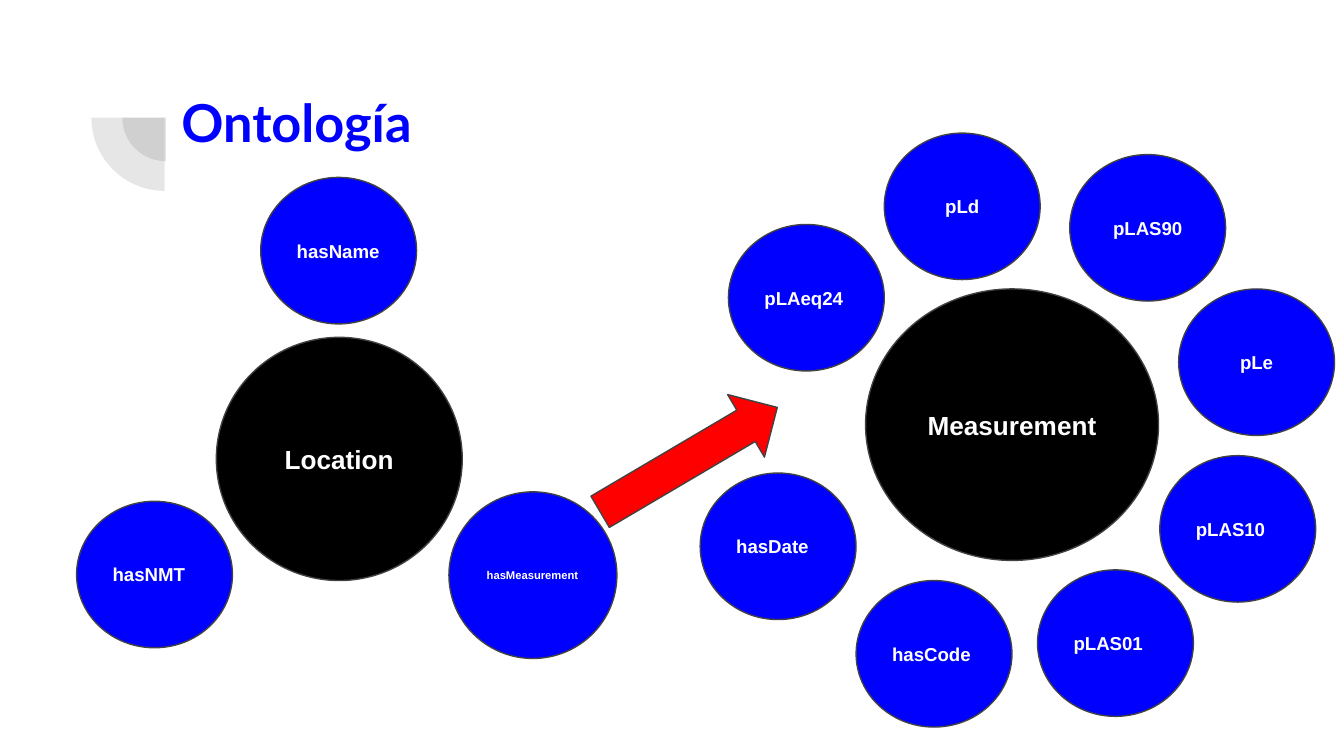
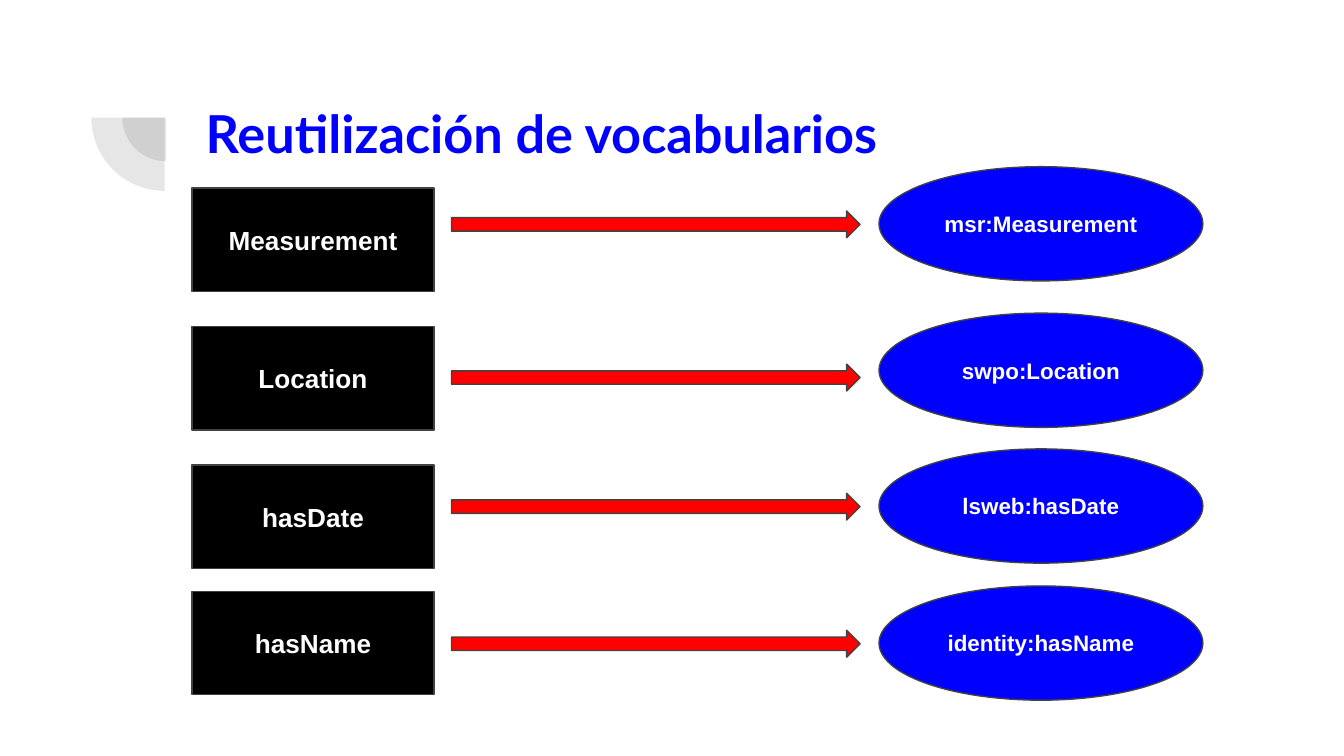
from lxml.etree import SubElement
from pptx import Presentation
from pptx.dml.color import RGBColor
from pptx.enum.shapes import MSO_SHAPE
from pptx.enum.text import MSO_ANCHOR, MSO_AUTO_SIZE, PP_ALIGN
from pptx.oxml.ns import qn
from pptx.util import Emu, Pt

PX = 9144  # EMU per px, 100 px to the inch
TITLE_ONLY = 5


def rgb(value):
    return RGBColor.from_string(value)


def px(*lengths):
    return [Emu(n * PX) for n in lengths]


class Deck:
    BLACK, BLUE, RED = "000000", "0000FF", "FF0000"
    WHITE, GREY = "FFFFFF", "424242"
    TITLE_FONT, BODY_FONT = "Lato", "Arial"
    INSET = 10

    def __init__(self, width):
        self.prs = Presentation()
        self.prs.slide_width, = px(width)
        self.prs.slide_height = Emu(self.prs.slide_width * 9 // 16)
        self.s = None

    def slide(self, title, left, top):
        self.s = self.prs.slides.add_slide(self.prs.slide_layouts[TITLE_ONLY])
        self.quarter_rings()
        sp = self.s.shapes.title
        sp.left, sp.top, sp.width, sp.height = px(left, top, 769, 109)
        self.text(sp, title, 28, self.BLUE, PP_ALIGN.LEFT,
                  MSO_ANCHOR.TOP, self.TITLE_FONT)

    def quarter_rings(self):
        """Two translucent quarter discs beside the title."""
        group = self.s.shapes.add_group_shape()
        for left, top, size in ((91, 55, 65), (68, 33, 109)):
            sp = group.shapes.add_shape(MSO_SHAPE.PIE, *px(left, top, size, size))
            sp.adjustments[0], sp.adjustments[1] = 108, 162
            sp.rotation = 270
            self.paint(sp, self.GREY, line=None)
            color = sp.fill._xPr.find(qn("a:solidFill"))[0]
            SubElement(color, qn("a:alpha"), val="13000")

    def paint(self, sp, fill, line=GREY):
        sp.shadow.inherit = False
        sp.fill.solid()
        sp.fill.fore_color.rgb = rgb(fill)
        if line:
            sp.line.color.rgb = rgb(line)
            sp.line.width = Pt(0.75)
        else:
            sp.line.fill.background()

    def text(self, sp, text, size, color, align, anchor, font):
        tf = sp.text_frame
        tf.text = text
        tf.word_wrap = True
        tf.auto_size = MSO_AUTO_SIZE.NONE
        tf.vertical_anchor = anchor
        inset, = px(self.INSET)
        tf.margin_left = tf.margin_right = inset
        tf.margin_top = tf.margin_bottom = inset
        p = tf.paragraphs[0]
        p.alignment = align
        r = p.runs[0]
        r.font.name, r.font.size, r.font.bold = font, Pt(size), True
        r.font.color.rgb = rgb(color)

    def node(self, kind, box, fill, label, size, align=PP_ALIGN.CENTER):
        sp = self.s.shapes.add_shape(kind, *px(*box))
        self.paint(sp, fill)
        self.text(sp, label, size, self.WHITE, align,
                  MSO_ANCHOR.MIDDLE, self.BODY_FONT)

    def arrow(self, box, rotation=0):
        sp = self.s.shapes.add_shape(MSO_SHAPE.RIGHT_ARROW, *px(*box))
        sp.rotation = rotation
        self.paint(sp, self.RED)


def ontology(deck):
    deck.slide("Ontología", 125, 57)

    # Classes
    for label, box in (("Location", (161, 251, 183, 181)),
                       ("Measurement", (644, 215, 218, 202))):
        deck.node(MSO_SHAPE.OVAL, box, deck.BLACK, label, 14)

    # Properties around each class
    left, center = PP_ALIGN.LEFT, PP_ALIGN.CENTER
    properties = (
        ("hasName", 194, 132, left),
        ("hasNMT", 57, 373, left),
        ("hasCode", 637, 432, left),
        ("pLAS01", 772, 424, left),
        ("pLAS10", 863, 339, left),
        ("pLe", 877, 215, center),
        ("pLAS90", 796, 115, center),
        ("pLd", 658, 99, center),
        ("pLAeq24", 542, 167, left),
        ("hasDate", 521, 352, left),
    )
    for label, x, y, align in properties:
        deck.node(MSO_SHAPE.OVAL, (x, y, 116, 109), deck.BLUE, label, 10, align)

    # Property that links the two classes
    deck.node(MSO_SHAPE.OVAL, (334, 366, 125, 124), deck.BLUE,
              "hasMeasurement", 6, left)
    deck.arrow((436, 315, 153, 54), 329.5)


def vocabularies(deck):
    deck.slide("Reutilización de vocabularios", 143, 65)

    # Term, reused vocabulary, then the tops of box, arrow and oval
    rows = (
        ("Measurement", "msr", 140, 157, 124),
        ("Location", "swpo", 243, 271, 233),
        ("hasDate", "lsweb", 346, 367, 334),
        ("hasName", "identity", 440, 469, 436),
    )
    for term, prefix, box_top, arrow_top, oval_top in rows:
        deck.node(MSO_SHAPE.RECTANGLE, (143, box_top, 180, 77),
                  deck.BLACK, term, 14)
        deck.arrow((336, arrow_top, 304, 20))
        deck.node(MSO_SHAPE.OVAL, (654, oval_top, 241, 85),
                  deck.BLUE, f"{prefix}:{term}", 12)


def main():
    deck = Deck(1000)
    ontology(deck)
    vocabularies(deck)
    deck.prs.save("out.pptx")


if __name__ == "__main__":
    main()
